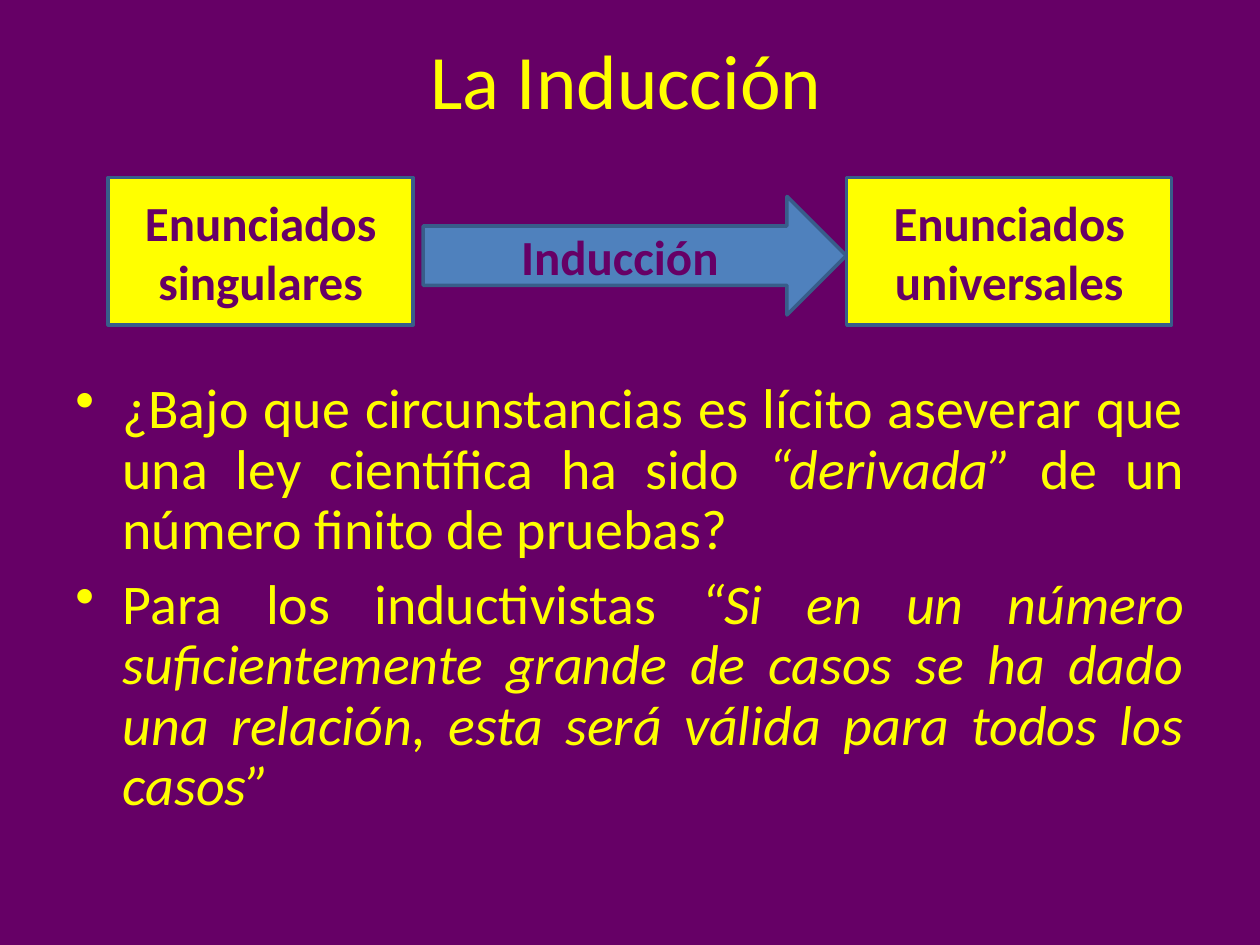
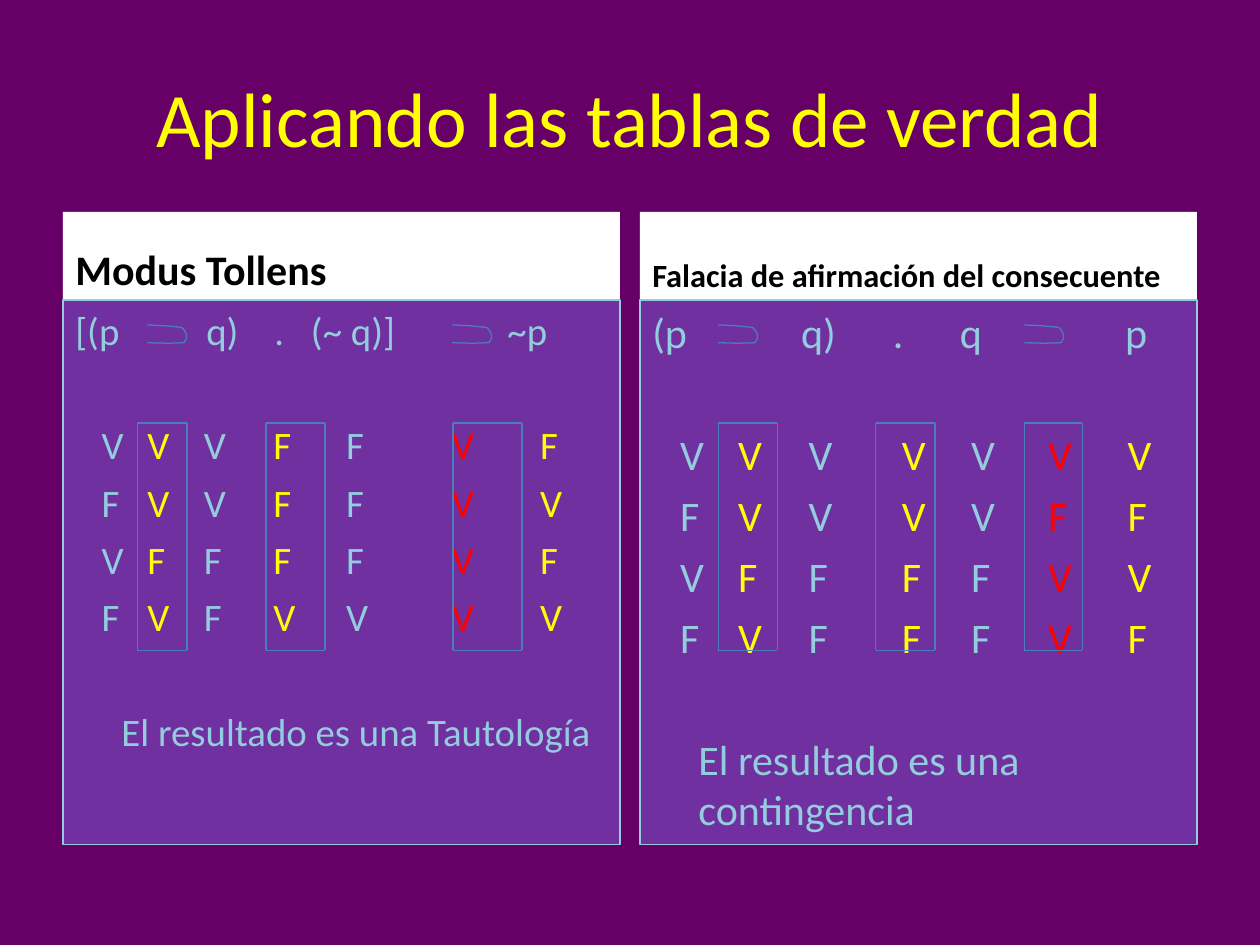
"""Build two slides on induction and truth tables."""
import lxml.etree
import pptx
import pptx.dml.color
import pptx.enum.shapes
import pptx.enum.text
import pptx.oxml.ns
import pptx.util

Cm = pptx.util.Cm
Pt = pptx.util.Pt
RGBColor = pptx.dml.color.RGBColor
ALIGN = pptx.enum.text.PP_ALIGN
ANCHOR = pptx.enum.text.MSO_ANCHOR
SHAPE = pptx.enum.shapes.MSO_SHAPE
qn = pptx.oxml.ns.qn

PURPLE = RGBColor(0x66, 0x00, 0x66)
VIOLET = RGBColor(0x70, 0x30, 0xA0)
YELLOW = RGBColor(0xFF, 0xFF, 0x00)
RED = RGBColor(0xFF, 0x00, 0x00)
WHITE = RGBColor(0xFF, 0xFF, 0xFF)
BLACK = RGBColor(0x00, 0x00, 0x00)
PALE_BLUE = RGBColor(0x93, 0xCD, 0xDD)
BLUE = RGBColor(0x4F, 0x81, 0xBD)
DARK_BLUE = RGBColor(0x38, 0x5D, 0x8A)
LINE_BLUE = RGBColor(0x4A, 0x7E, 0xBB)


def style(para, size, color, bold=False, align=ALIGN.LEFT):
    para.alignment = align
    para.font.name = "Calibri"
    para.font.size = Pt(size)
    para.font.bold = bold
    para.font.color.rgb = color


def set_tabs(para, stops):
    tab_list = lxml.etree.SubElement(para._p.get_or_add_pPr(), qn("a:tabLst"))
    for stop in stops:
        lxml.etree.SubElement(tab_list, qn("a:tab"), pos=str(Cm(stop)), algn="l")


deck = pptx.Presentation()
deck.slide_width, deck.slide_height = Cm(25.4), Cm(19.05)
background = deck.slide_master.background.fill
background.solid()
background.fore_color.rgb = PURPLE

pages = []
for heading, left, top in (("La Inducción", 1.19, 0),
                           ("Aplicando las tablas de verdad", 1.27, 0.76)):
    page = deck.slides.add_slide(deck.slide_layouts[5])
    title = page.shapes.title
    title.left, title.top, title.width, title.height = Cm(left), Cm(top), Cm(22.86), Cm(3.18)
    title.text_frame.text = heading
    title.text_frame.vertical_anchor = ANCHOR.MIDDLE
    style(title.text_frame.paragraphs[0], 44, YELLOW, align=ALIGN.CENTER)
    pages.append(page)
induction, truth = pages

questions = (
    (("¿Bajo que circunstancias es lícito aseverar que una ley científica ha sido ", False),
     ("“derivada” ", True),
     ("de un número finito de pruebas?", False)),
    (("Para los inductivistas ", False),
     ("“Si en un número suficientemente grande de casos se ha dado una relación, "
      "esta será válida para todos los casos”", True)),
)
box = induction.shapes.add_textbox(Cm(1.27), Cm(7.54), Cm(22.86), Cm(10.7))
box.text_frame.word_wrap = True
for index, question in enumerate(questions):
    para = box.text_frame.paragraphs[0] if index == 0 else box.text_frame.add_paragraph()
    properties = para._p.get_or_add_pPr()
    properties.set("marL", str(Cm(0.95)))
    properties.set("indent", str(Cm(-0.95)))
    lxml.etree.SubElement(properties, qn("a:buChar"), char="•")
    style(para, 32, YELLOW, align=ALIGN.JUSTIFY)
    para.line_spacing = 0.9
    para.space_before = Pt(8)
    for words, italic in question:
        span = para.add_run()
        span.text = words
        span.font.italic = italic

for label, preset, fill, left, top, width, height in (
    ("Inducción", SHAPE.RIGHT_ARROW, BLUE, 8.53, 3.96, 8.53, 2.39),
    ("Enunciados singulares", SHAPE.RECTANGLE, YELLOW, 2.18, 3.58, 6.15, 2.97),
    ("Enunciados universales", SHAPE.RECTANGLE, YELLOW, 17.07, 3.58, 6.55, 2.97),
):
    block = induction.shapes.add_shape(preset, Cm(left), Cm(top), Cm(width), Cm(height))
    block.shadow.inherit = False
    block.fill.solid()
    block.fill.fore_color.rgb = fill
    block.line.color.rgb = DARK_BLUE
    block.line.width = Pt(2)
    block.text_frame.word_wrap = True
    block.text_frame.vertical_anchor = ANCHOR.MIDDLE
    block.text_frame.text = label
    style(block.text_frame.paragraphs[0], 28, PURPLE, True, ALIGN.CENTER)

COLUMN_COLORS = (PALE_BLUE, YELLOW, PALE_BLUE, YELLOW, PALE_BLUE, RED, YELLOW)
tables = (
    dict(left=1.27, name="Modus Tollens", name_size=24, size=22.2, gap=39,
         formula="[(p\tq)\t.\t(~ q)]\t~p", formula_tabs=(2.64, 4.01, 4.75, 8.71),
         rows=("VVVFFVF", "FVVFFVV", "VFFFFVF", "FVFVVVV"),
         row_tabs=(0.53, 1.45, 2.59, 3.99, 5.46, 7.59, 9.37),
         result="El resultado es una Tautología"),
    dict(left=12.9, name="Falacia de afirmación del consecuente", name_size=18.5, size=24, gap=41,
         formula="(p\tq)\t.\tq\tp", formula_tabs=(3, 4.85, 6.2, 9.53),
         rows=("VVVVVVV", "FVVVVFF", "VFFFFVV", "FVFFFVF"),
         row_tabs=(0.56, 1.73, 3.15, 5.03, 6.43, 7.98, 9.58),
         result="El resultado es una contingencia"),
)
for table in tables:
    header = truth.shapes.add_textbox(Cm(table["left"]), Cm(4.27), Cm(11.23), Cm(1.78))
    header.fill.solid()
    header.fill.fore_color.rgb = WHITE
    header.text_frame.word_wrap = True
    header.text_frame.vertical_anchor = ANCHOR.BOTTOM
    header.text_frame.text = table["name"]
    style(header.text_frame.paragraphs[0], table["name_size"], BLACK, True)

    panel = truth.shapes.add_textbox(Cm(table["left"]), Cm(6.05), Cm(11.23), Cm(10.97))
    panel.fill.solid()
    panel.fill.fore_color.rgb = VIOLET
    panel.line.color.rgb = PALE_BLUE
    panel.line.width = Pt(0.75)
    panel.text_frame.word_wrap = True

    para = panel.text_frame.paragraphs[0]
    set_tabs(para, table["formula_tabs"])
    para.add_run().text = table["formula"]
    style(para, table["size"], PALE_BLUE)
    para.space_before = Pt(6)

    for index, row in enumerate(table["rows"]):
        para = panel.text_frame.add_paragraph()
        set_tabs(para, table["row_tabs"])
        style(para, table["size"], PALE_BLUE)
        para.space_before = Pt(6 if index else table["gap"])
        for value, color in zip(row, COLUMN_COLORS):
            span = para.add_run()
            span.text = "\t" + value
            span.font.color.rgb = color

    para = panel.text_frame.add_paragraph()
    para.add_run().text = table["result"]
    para._p.get_or_add_pPr().set("marL", str(Cm(0.93)))
    style(para, table["size"], PALE_BLUE)
    para.space_before = Pt(table["gap"])

HOOK = ((0.38, 0.02), (0.69, 0.05), (0.75, 0.11), (0.79, 0.2), (0.79, 0.27),
        (0.74, 0.36), (0.4, 0.37), (0, 0.36))
for left in (2.97, 9.12, 14.48, 20.65):
    builder = truth.shapes.build_freeform(Cm(left), Cm(6.55))
    builder.add_line_segments([(Cm(left + x), Cm(6.55 + y)) for x, y in HOOK], close=False)
    implication = builder.convert_to_shape()
    implication.shadow.inherit = False
    implication.fill.background()
    implication.line.color.rgb = LINE_BLUE
    implication.line.width = Pt(0.75)

TOP, BOTTOM = 8.53, 13.11
for left, right in ((2.77, 3.77), (5.36, 6.55), (9.13, 10.52),
                    (14.48, 15.67), (17.65, 18.85), (20.65, 21.82)):
    corners = ((left, TOP), (right, TOP), (right, BOTTOM), (left, BOTTOM))
    for start, end in zip(corners, corners[1:] + corners[:1]):
        edge = truth.shapes.add_connector(
            pptx.enum.shapes.MSO_CONNECTOR.STRAIGHT, *map(Cm, start + end))
        edge.line.color.rgb = LINE_BLUE
        edge.line.width = Pt(0.75)
        lxml.etree.SubElement(edge._element.spPr, qn("a:effectLst"))

deck.save("out.pptx")
